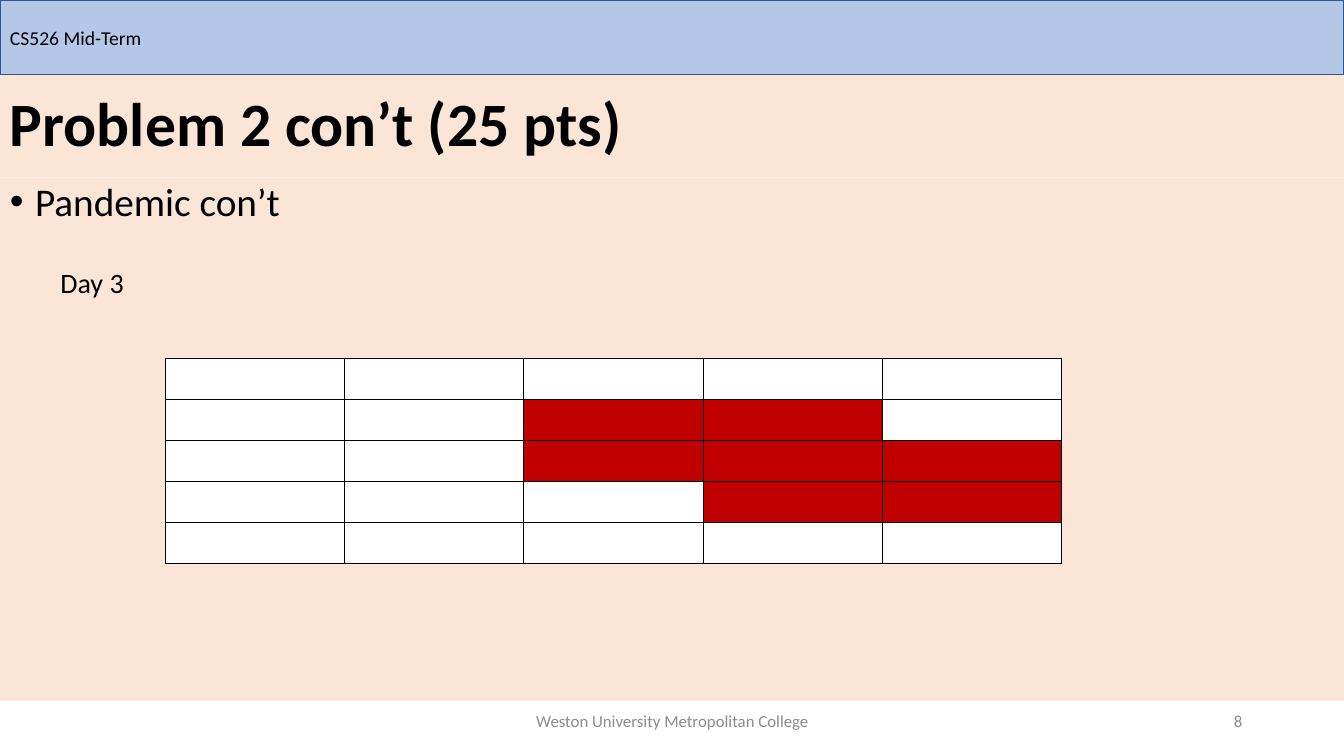
from lxml import etree
from pptx import Presentation
from pptx.dml.color import RGBColor
from pptx.enum.shapes import MSO_SHAPE
from pptx.enum.text import MSO_ANCHOR, PP_ALIGN
from pptx.oxml.ns import qn
from pptx.util import Inches, Pt

BLACK = RGBColor(0x00, 0x00, 0x00)
WHITE = RGBColor(0xFF, 0xFF, 0xFF)
GRAY = RGBColor(0x8C, 0x8C, 0x8C)
PEACH = RGBColor(0xFB, 0xE5, 0xD6)
LIGHT_BLUE = RGBColor(0xB4, 0xC7, 0xE7)
DARK_BLUE = RGBColor(0x32, 0x54, 0x91)
RED = RGBColor(0xC0, 0x00, 0x00)

SLIDE_WIDTH = 13.33
INFECTION_GRID = [
    ".....",
    "..XX.",
    "..XXX",
    "...XX",
    ".....",
]


def add_band(page, top, height, fill, line=None, anchor=MSO_ANCHOR.MIDDLE):
    band = page.shapes.add_shape(
        MSO_SHAPE.RECTANGLE, 0, Inches(top), Inches(SLIDE_WIDTH), Inches(height)
    )
    band.shadow.inherit = False
    band.fill.solid()
    band.fill.fore_color.rgb = fill
    if line is None:
        band.line.fill.background()
    else:
        band.line.color.rgb = line
        band.line.width = Pt(1)
    band.text_frame.word_wrap = True
    band.text_frame.vertical_anchor = anchor
    return band.text_frame


def write(para, text, size, color=BLACK, bold=False, align=PP_ALIGN.LEFT,
          line_spacing=1.0, space_before=0):
    para.text = text
    para.font.name = "Calibri"
    para.font.size = Pt(size)
    para.font.color.rgb = color
    para.font.bold = bold
    para.alignment = align
    para.line_spacing = line_spacing
    para.space_before = Pt(space_before)


def indent(para, left, first=0, bullet=None):
    properties = para._p.get_or_add_pPr()
    properties.set("marL", str(Inches(left)))
    properties.set("indent", str(Inches(first)))
    if bullet:
        etree.SubElement(properties, qn("a:buFont")).set("typeface", "Arial")
        etree.SubElement(properties, qn("a:buChar")).set("char", bullet)


def add_footer(page, left, width, text, align):
    box = page.shapes.add_textbox(Inches(left), Inches(6.95), Inches(width), Inches(0.4))
    box.text_frame.word_wrap = True
    box.text_frame.vertical_anchor = MSO_ANCHOR.MIDDLE
    write(box.text_frame.paragraphs[0], text, 12, GRAY, align=align)


def style_cell(cell, fill):
    properties = cell._tc.get_or_add_tcPr()
    for side in ("lnL", "lnR", "lnT", "lnB"):
        border = etree.SubElement(properties, qn(f"a:{side}"), w=str(Pt(1)))
        solid = etree.SubElement(border, qn("a:solidFill"))
        etree.SubElement(solid, qn("a:srgbClr"), val=str(BLACK))
    cell.fill.solid()
    cell.fill.fore_color.rgb = fill


def add_infection_table(page):
    rows, columns = len(INFECTION_GRID), len(INFECTION_GRID[0])
    table = page.shapes.add_table(
        rows, columns, Inches(1.64), Inches(3.56), Inches(8.89), Inches(2.03)
    ).table
    table.first_row = False
    table.horz_banding = False
    for row, marks in enumerate(INFECTION_GRID):
        for column, mark in enumerate(marks):
            style_cell(table.cell(row, column), RED if mark == "X" else WHITE)


def main():
    deck = Presentation()
    deck.slide_width = Inches(SLIDE_WIDTH)
    deck.slide_height = Inches(7.5)
    page = deck.slides.add_slide(deck.slide_layouts[6])

    title = add_band(page, 0.74, 1.02, PEACH)
    write(title.paragraphs[0], "Problem 2 con’t (25 pts)", 44, bold=True, line_spacing=0.9)

    header = add_band(page, 0, 0.74, LIGHT_BLUE, DARK_BLUE)
    write(header.paragraphs[0], "CS526 Mid-Term", 14)

    add_footer(page, 4.42, 4.5, "Weston University Metropolitan College", PP_ALIGN.CENTER)
    add_footer(page, 9.42, 3, "8", PP_ALIGN.RIGHT)

    body = add_band(page, 1.76, 5.19, PEACH, anchor=MSO_ANCHOR.TOP)
    topic = body.paragraphs[0]
    write(topic, "Pandemic con’t", 28, line_spacing=0.9, space_before=10)
    indent(topic, 0.25, -0.25, "•")
    day = body.add_paragraph()
    write(day, "Day 3", 20, line_spacing=0.9, space_before=32)
    indent(day, 0.5)

    add_infection_table(page)
    deck.save("out.pptx")


if __name__ == "__main__":
    main()
